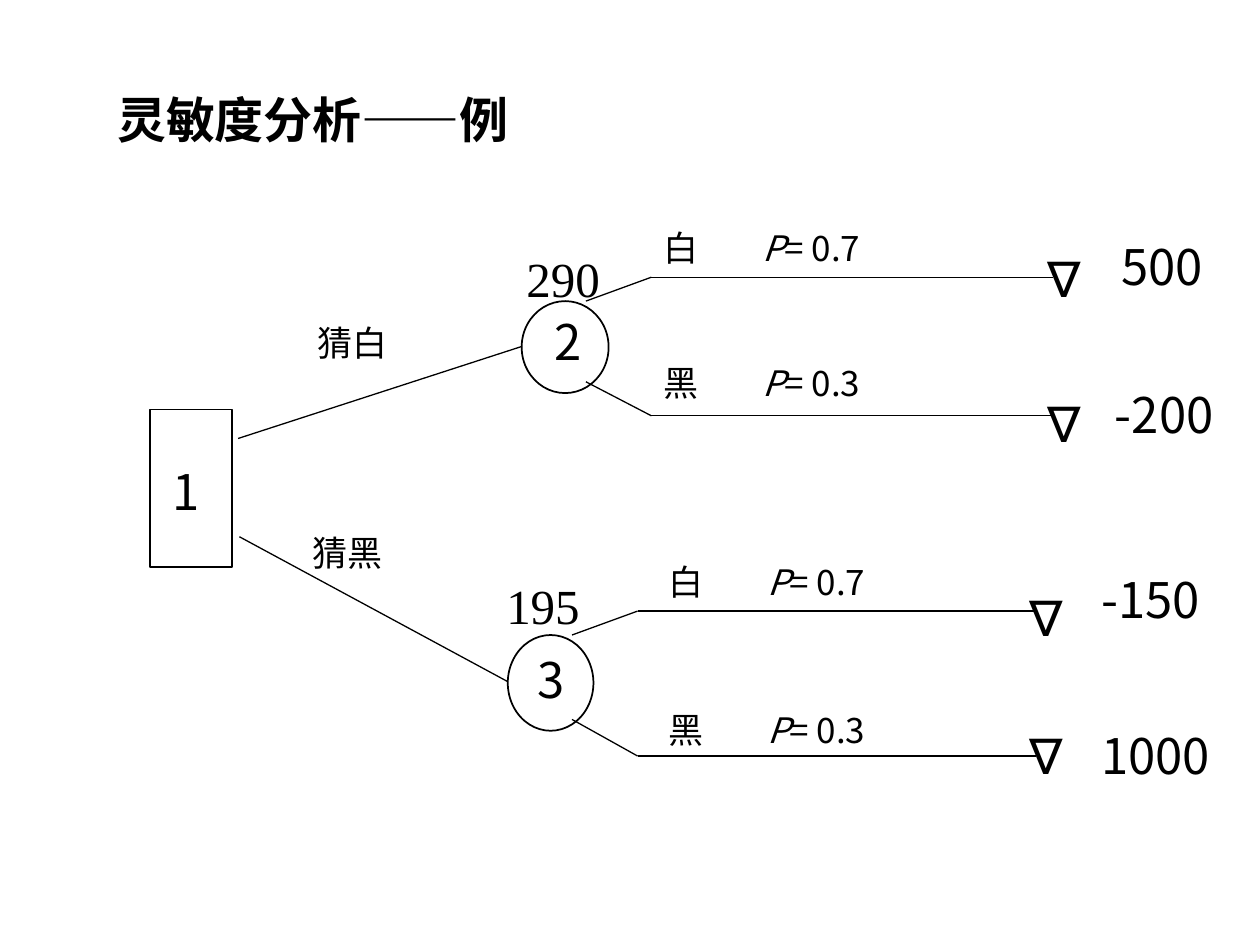
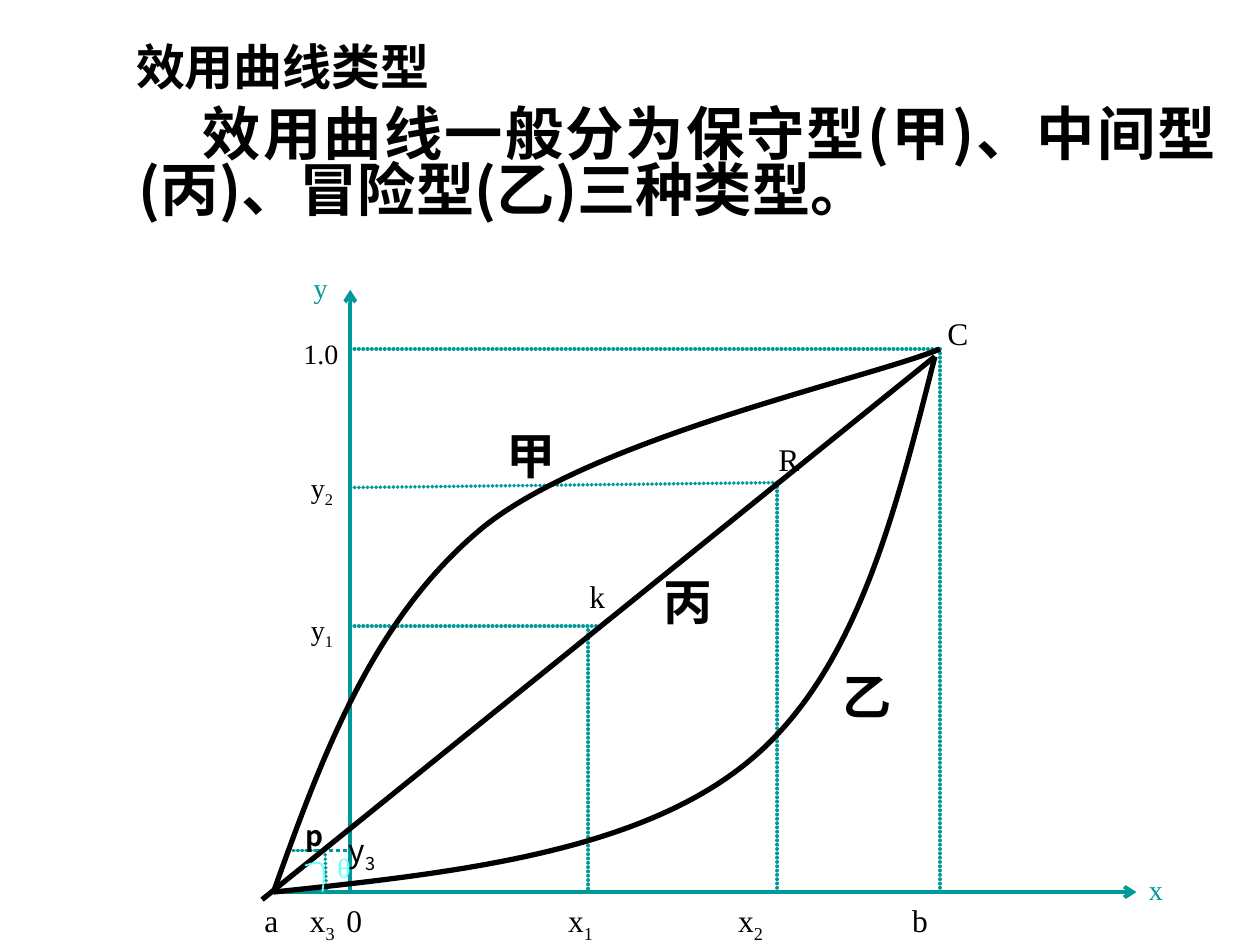
"""Build two slides on decision analysis: a decision tree and the types of utility curve."""
from lxml.etree import SubElement
from pptx import Presentation
from pptx.dml.color import RGBColor
from pptx.enum.dml import MSO_LINE
from pptx.enum.shapes import MSO_CONNECTOR, MSO_SHAPE
from pptx.enum.text import MSO_ANCHOR, MSO_AUTO_SIZE, PP_ALIGN
from pptx.oxml.ns import qn
from pptx.util import Inches, Pt

BLACK, TEAL, CYAN = "000000", "009999", "66FFFF"
SANS, SERIF, HAN = "Arial", "Times New Roman", "Noto Sans CJK SC"


def write(shape, spans, size, font=HAN, colour=BLACK, bold=False, spacing=1.0,
          align=PP_ALIGN.LEFT, para=None):
    """Write spans into a paragraph, by default the first of a shape, and return it."""
    frame = shape.text_frame
    frame.word_wrap = True
    frame.auto_size = MSO_AUTO_SIZE.NONE
    para = para or frame.paragraphs[0]
    para.text = spans[0]
    for text in spans[1:]:
        para.add_run().text = text
    para.alignment = align
    para.line_spacing = spacing
    para.space_before = Pt(0)
    for span in para.runs:
        span.font.size = Pt(size)
        span.font.bold = bold
        span.font.color.rgb = RGBColor.from_string(colour)
        span.font.name = font
        if font == HAN:
            SubElement(span.font._element, qn("a:ea"), typeface=font)
    return para


def add_line(page, start, end, colour=BLACK, width=0.75):
    """Draw a straight connector between two points in inches."""
    line = page.shapes.add_connector(MSO_CONNECTOR.STRAIGHT, *map(Inches, start + end))
    line.line.color.rgb = RGBColor.from_string(colour)
    line.line.width = Pt(width)
    SubElement(line._element.spPr, qn("a:effectLst"))
    return line


deck = Presentation()
deck.slide_width, deck.slide_height = Inches(10), Inches(7.5)
tree_page = deck.slides.add_slide(deck.slide_layouts[5])
curve_page = deck.slides.add_slide(deck.slide_layouts[1])

titles = [
    (tree_page, "灵敏度分析——例", SANS, (0.83, 0.52, 8.58, 0.84)),
    (curve_page, "效用曲线类型", HAN, (0.98, 0.21, 8.62, 0.63)),
]
for page, text, font, place in titles:
    title = page.shapes.title
    title.left, title.top, title.width, title.height = map(Inches, place)
    write(title, [text], 28, font, bold=True)
    title.text_frame.vertical_anchor = MSO_ANCHOR.MIDDLE

nodes = [
    ("1", MSO_SHAPE.RECTANGLE, (1.19, 3.25, 0.65, 1.25), (0, 0.05, 0.08, 0)),
    ("2", MSO_SHAPE.OVAL, (4.14, 2.39, 0.69, 0.73), (0.05, 0, 0, 0.1)),
    ("3", MSO_SHAPE.OVAL, (4.03, 5.04, 0.68, 0.76), (0, 0, 0, 0.07)),
]
for number, outline, place, margins in nodes:
    node = tree_page.shapes.add_shape(outline, *map(Inches, place))
    node.shadow.inherit = False
    node.fill.background()
    node.line.color.rgb = RGBColor.from_string(BLACK)
    node.line.width = Pt(1)
    frame = node.text_frame
    frame.margin_left, frame.margin_top, frame.margin_right, frame.margin_bottom = map(Inches, margins)
    frame.vertical_anchor = MSO_ANCHOR.MIDDLE
    write(node, [number], 28, align=PP_ALIGN.CENTER)

add_line(tree_page, (1.89, 3.48), (4.14, 2.75))
add_line(tree_page, (1.9, 4.26), (4.03, 5.41))

tree_labels = [
    ("猜白", 20, HAN, (2.42, 2.5, 0.86, 0.44)),
    ("猜黑", 20, HAN, (2.38, 4.17, 1.71, 0.44)),
    ("290", 28, SERIF, (4.08, 1.92, 0.83, 0.57)),
    ("195", 28, SERIF, (3.92, 4.52, 0.83, 0.57)),
]
for text, size, font, place in tree_labels:
    write(tree_page.shapes.add_textbox(*map(Inches, place)), [text], size, font)

chances = [
    (4.65, 5.17, 8.36, 5.17, 8.18, [
        ("白", "0.7", 2.39, 2.2, 1.75, 1.97, "500", 8.8, 1.83),
        ("黑", "0.3", 3.03, 3.3, 2.82, 3.12, "-200", 8.75, 3),
    ]),
    (4.54, 5.06, 8.22, 5.21, 8.04, [
        ("白", "0.7", 5.04, 4.85, 4.4, 4.66, "-150", 8.64, 4.47),
        ("黑", "0.3", 5.71, 6, 5.57, 5.76, "1000", 8.64, 5.71),
    ]),
]
for node_x, elbow_x, end_x, label_x, mark_x, branches in chances:
    for ball, chance, node_y, line_y, label_y, mark_y, payoff, payoff_x, payoff_y in branches:
        add_line(tree_page, (elbow_x, line_y), (node_x, node_y))
        add_line(tree_page, (elbow_x, line_y), (end_x, line_y))
        label = tree_page.shapes.add_textbox(*map(Inches, (label_x, label_y, 3.54, 0.44)))
        para = write(label, [ball + "\t", "P", "= " + chance], 20)
        para.runs[1].font.italic = True
        tabs = SubElement(para._p.get_or_add_pPr(), qn("a:tabLst"))
        SubElement(tabs, qn("a:tab"), pos=str(Inches(0.78)), algn="l")
        mark = tree_page.shapes.add_textbox(*map(Inches, (mark_x, mark_y, 0.57, 0.53)))
        write(mark, ["∇"], 32, SANS, spacing=0.8)
        result = tree_page.shapes.add_textbox(*map(Inches, (payoff_x, payoff_y, 1.11, 1.04)))
        write(result, [payoff], 28)

body = curve_page.placeholders[1]
body.left, body.top, body.width, body.height = map(Inches, (1, 0.83, 8.75, 1.25))
para = write(body, ["效用曲线一般分为保守型(甲)、中间型(丙)、冒险型(乙)三种类型。"], 33.3,
             bold=True, spacing=0.8, align=PP_ALIGN.JUSTIFY)
properties = para._p.get_or_add_pPr()
properties.set("marL", "0")
properties.set("indent", str(Inches(0.51)))
SubElement(properties, qn("a:buNone"))

for start, end in [((2.17, 7.08), (9.02, 7.08)), ((2.78, 7.08), (2.78, 2.3))]:
    axis = add_line(curve_page, start, end, TEAL, 2.25)
    SubElement(axis.line._get_or_add_ln(), qn("a:tailEnd"), type="arrow")

guides = [
    ((2.78, 2.77), (7.46, 2.77)), ((7.46, 2.77), (7.46, 7.08)),
    ((2.78, 3.87), (6.17, 3.83)), ((6.17, 3.83), (6.17, 7.05)),
    ((2.78, 4.97), (4.75, 4.97)), ((4.67, 5), (4.67, 7.08)),
    ((2.33, 6.75), (2.58, 6.75)), ((2.58, 6.75), (2.59, 7.08)),
]
for start, end in guides:
    stroke = add_line(curve_page, start, end, TEAL, 2.25).line._get_or_add_ln()
    stroke.set("cap", "rnd")
    dashes = SubElement(stroke, qn("a:custDash"))
    SubElement(dashes, qn("a:ds"), d="100000", sp="10000")
add_line(curve_page, (2.5, 6.75), (2.75, 6.75), TEAL, 2).line.dash_style = MSO_LINE.ROUND_DOT

add_line(curve_page, (2.08, 7.14), (7.42, 2.83), width=3)

curves = [
    (BLACK, 3, [(2.17, 7.08), (2.56, 5.99), (2.96, 4.9), (3.84, 4.18),
                (4.73, 3.47), (6.87, 3.01), (7.46, 2.77)]),
    (BLACK, 3, [(2.17, 7.08), (3.6, 6.93), (5.04, 6.77), (5.92, 6.06),
                (6.79, 5.36), (7.1, 4.09), (7.42, 2.83)]),
    (CYAN, 1, [(2.42, 6.87), (2.48, 6.85), (2.54, 6.83), (2.56, 6.87),
               (2.58, 6.9), (2.57, 6.99), (2.56, 7.08)]),
]
for colour, width, controls in curves:
    points = [tuple(map(Inches, point)) for point in controls]
    builder = curve_page.shapes.build_freeform(*points[0])
    builder.add_line_segments(points[1:], close=False)
    curve = builder.convert_to_shape()
    outline = next(curve._element.iter(qn("a:path")))
    segments = outline.findall(qn("a:lnTo"))
    for first in (0, 3):
        bend = SubElement(outline, qn("a:cubicBezTo"))
        for segment in segments[first:first + 3]:
            bend.append(segment[0])
            outline.remove(segment)
    curve.shadow.inherit = False
    curve.fill.background()
    curve.line.color.rgb = RGBColor.from_string(colour)
    curve.line.width = Pt(width)

curve_labels = [
    ("x", 16, SERIF, TEAL, (9.02, 6.93, 0.31, 0.31)),
    ("y", 16, SERIF, TEAL, (2.39, 2.15, 0.31, 0.31)),
    ("θ", 16, SERIF, CYAN, (2.58, 6.75, 0.36, 0.31)),
    ("k", 18, SERIF, BLACK, (4.58, 4.59, 0.33, 0.34)),
    ("R", 18, SERIF, BLACK, (6.08, 3.5, 0.37, 0.34)),
    ("C", 18, SERIF, BLACK, (7.42, 2.5, 0.37, 0.34)),
    ("甲", 28, HAN, BLACK, (3.92, 3.42, 0.59, 0.47)),
    ("乙", 28, HAN, BLACK, (6.59, 5.33, 0.59, 0.47)),
    ("丙", 28, HAN, BLACK, (5.17, 4.58, 0.59, 0.47)),
    ("p", 16, HAN, BLACK, (2.33, 6.5, 0.33, 0.31)),
]
for text, size, font, colour, place in curve_labels:
    box = curve_page.shapes.add_textbox(*map(Inches, place))
    write(box, [text], size, font, colour, font == HAN, 0.8)

low_label = curve_page.shapes.add_textbox(*map(Inches, (2.67, 6.58, 0.5, 0.37)))
labelled = [write(low_label, ["y", "3"], 18, spacing=0.8)]

y_labels = curve_page.shapes.add_textbox(*map(Inches, (2.31, 2.62, 0.7, 3.11)))
write(y_labels, ["1.0"], 16, SERIF)
for digit, gap in [("2", 57.5), ("1", 59.5)]:
    para = write(y_labels, ["y", digit], 16, SERIF, para=y_labels.text_frame.add_paragraph())
    para.space_before = Pt(gap)
    properties = para._p.get_or_add_pPr()
    properties.set("marL", str(Inches(0.06)))
    properties.set("indent", "0")
    labelled.append(para)

x_labels = curve_page.shapes.add_textbox(*map(Inches, (2, 7.1, 6.48, 0.74)))
para = write(x_labels, ["a\tx", "3", "\t0\tx", "1", "\tx", "2", "\tb"], 18, SERIF)
tabs = SubElement(para._p.get_or_add_pPr(), qn("a:tabLst"))
for position in (0.36, 0.65, 2.41, 3.76, 5.14):
    SubElement(tabs, qn("a:tab"), pos=str(Inches(position)), algn="l")
labelled.append(para)

for para in labelled:
    for subscript in para.runs[1::2]:
        subscript.font._element.set("baseline", "-25000")

deck.save("out.pptx")
